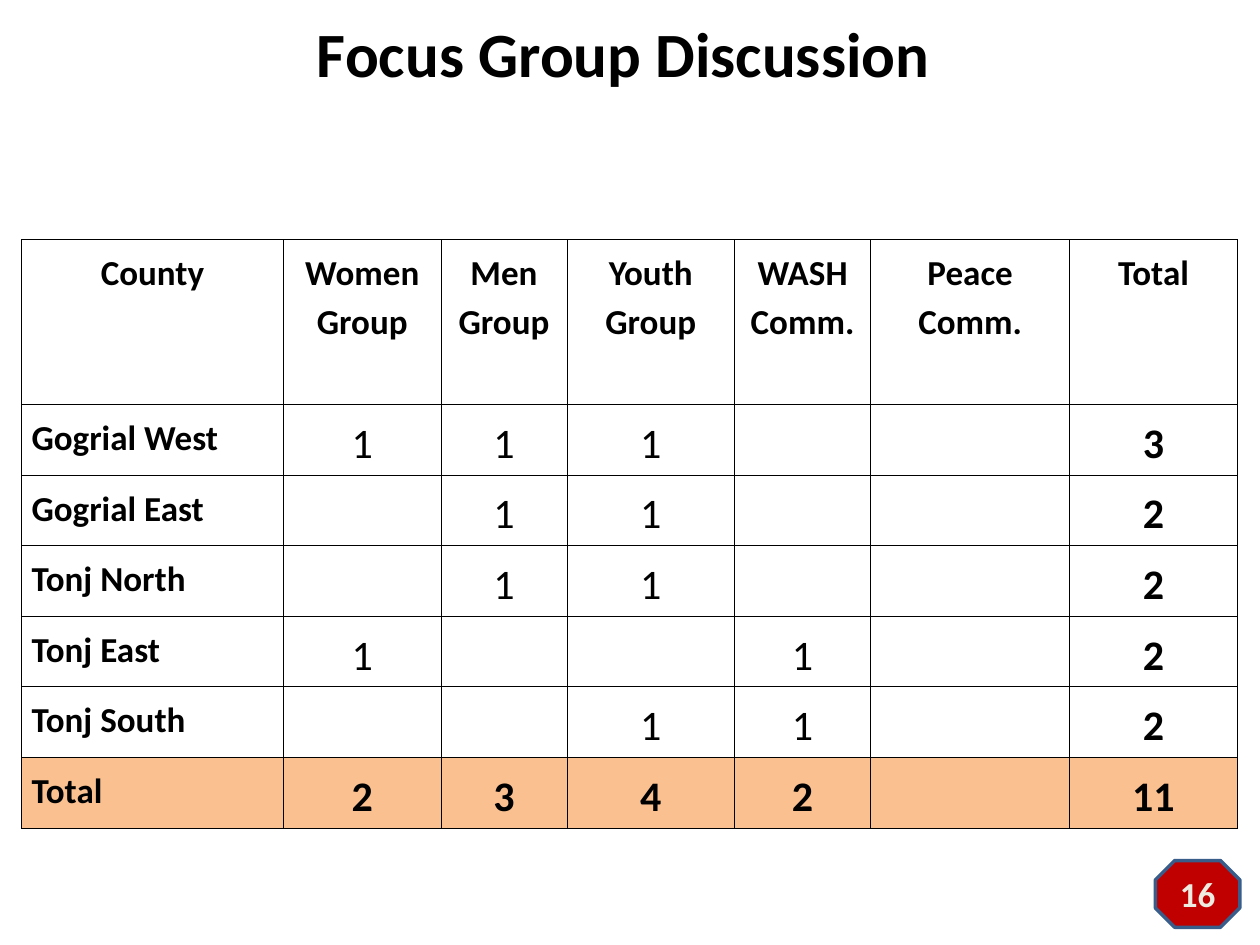
from dataclasses import dataclass

from lxml.etree import SubElement
from pptx import Presentation
from pptx.dml.color import RGBColor
from pptx.enum.shapes import MSO_SHAPE as Preset
from pptx.enum.text import MSO_ANCHOR as Anchor, PP_ALIGN as Align
from pptx.oxml.ns import qn
from pptx.util import Inches, Pt

BLACK, WHITE, PEACH = "000000", "FFFFFF", "FAC090"


@dataclass(frozen=True)
class Style:
    size: int
    bold: bool = True
    color: str = BLACK
    align: Align = Align.CENTER
    spacing: float = 1.0
    after: int = 0


TITLE = Style(36)
PAGE = Style(20, color="EEECE1")
HEADING = Style(20, spacing=1.15)
COUNTY = Style(20, align=Align.LEFT, spacing=1.15, after=5)
COUNT = Style(24, bold=False, spacing=1.15, after=5)
SUM = Style(24, spacing=1.15, after=5)

COLUMNS = (
    ("County", 2.08),
    ("Women\nGroup", 1.25),
    ("Men\nGroup", 1),
    ("Youth\nGroup", 1.33),
    ("WASH Comm.", 1.08),
    ("Peace\nComm.", 1.58),
    ("Total", 1.33),
)
COUNTIES = (
    ("Gogrial West", "1", "1", "1", "", "", "3"),
    ("Gogrial East", "", "1", "1", "", "", "2"),
    ("Tonj North", "", "1", "1", "", "", "2"),
    ("Tonj East", "1", "", "", "1", "", "2"),
    ("Tonj South", "", "", "1", "1", "", "2"),
    ("Total", "2", "3", "4", "2", "", "11"),
)
HEADER_HEIGHT, COUNTY_HEIGHT = 1.31, 0.52


def rgb(code: str) -> RGBColor:
    return RGBColor.from_string(code)


def write(frame, text: str, style: Style) -> None:
    for index, line in enumerate(text.split("\n")):
        paragraph = frame.add_paragraph() if index else frame.paragraphs[0]
        paragraph.alignment = style.align
        paragraph.line_spacing = style.spacing
        paragraph.space_after = Pt(style.after)
        run = paragraph.add_run()
        run.text = line
        run.font.name = "Calibri"
        run.font.size = Pt(style.size)
        run.font.bold = style.bold
        run.font.color.rgb = rgb(style.color)


def add_borders(cell) -> None:
    properties = cell._tc.get_or_add_tcPr()
    for position, side in enumerate(("lnL", "lnR", "lnT", "lnB")):
        border = SubElement(properties, qn(f"a:{side}"), w=str(Pt(0.45)))
        fill = SubElement(border, qn("a:solidFill"))
        SubElement(fill, qn("a:srgbClr"), val=BLACK)
        properties.insert(position, border)


def fill_cell(cell, text: str, style: Style, color: str) -> None:
    cell.fill.solid()
    cell.fill.fore_color.rgb = rgb(color)
    cell.margin_left = cell.margin_right = Inches(0.08)
    cell.margin_top = cell.margin_bottom = Inches(0.05)
    add_borders(cell)
    if text:
        write(cell.text_frame, text, style)


def add_title(slide) -> None:
    title = slide.shapes.add_textbox(
        Inches(0.17), Inches(0.08), Inches(9.67), Inches(0.67)
    )
    title.text_frame.word_wrap = True
    title.text_frame.vertical_anchor = Anchor.MIDDLE
    write(title.text_frame, "Focus Group Discussion ", TITLE)


def add_page_badge(slide) -> None:
    badge = slide.shapes.add_shape(
        Preset.OCTAGON, Inches(9.17), Inches(6.83), Inches(0.67), Inches(0.53)
    )
    badge.shadow.inherit = False
    badge.adjustments[0] = 0.29
    badge.fill.solid()
    badge.fill.fore_color.rgb = rgb("C00000")
    badge.line.color.rgb = rgb("385D8A")
    badge.line.width = Pt(2)
    badge.text_frame.vertical_anchor = Anchor.MIDDLE
    write(badge.text_frame, "16", PAGE)


def add_discussions(slide) -> None:
    height = HEADER_HEIGHT + COUNTY_HEIGHT * len(COUNTIES)
    discussions = slide.shapes.add_table(
        len(COUNTIES) + 1, len(COLUMNS),
        Inches(0.17), Inches(1.9), Inches(9.67), Inches(height),
    ).table
    discussions.horz_banding = False
    last_row, last_column = len(COUNTIES), len(COLUMNS) - 1

    discussions.rows[0].height = Inches(HEADER_HEIGHT)
    for column, (heading, width) in enumerate(COLUMNS):
        discussions.columns[column].width = Inches(width)
        fill_cell(discussions.cell(0, column), heading, HEADING, WHITE)

    for row, entries in enumerate(COUNTIES, start=1):
        discussions.rows[row].height = Inches(COUNTY_HEIGHT)
        color = PEACH if row == last_row else WHITE
        for column, entry in enumerate(entries):
            if column == 0:
                style = COUNTY
            elif row == last_row or column == last_column:
                style = SUM
            else:
                style = COUNT
            fill_cell(discussions.cell(row, column), entry, style, color)


def main() -> None:
    presentation = Presentation()
    presentation.slide_width = Inches(10)
    presentation.slide_height = Inches(7.5)
    slide = presentation.slides.add_slide(presentation.slide_layouts[6])
    add_title(slide)
    add_page_badge(slide)
    add_discussions(slide)
    presentation.save("out.pptx")


if __name__ == "__main__":
    main()
